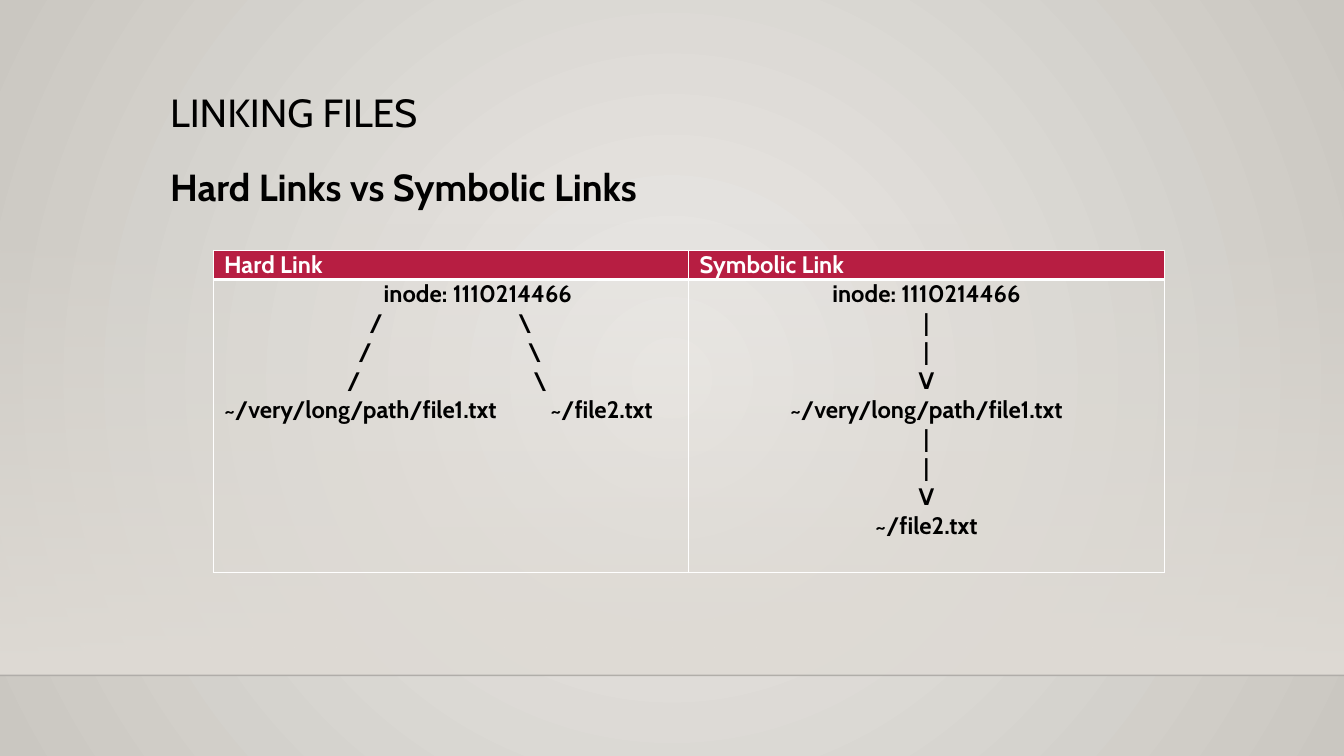
from lxml.etree import SubElement as Sub
from pptx import Presentation
from pptx.dml.color import RGBColor as Rgb
from pptx.enum.shapes import MSO_CONNECTOR as Link, MSO_SHAPE as Kind
from pptx.enum.text import PP_ALIGN as Align
from pptx.oxml.ns import qn
from pptx.util import Pt

WIDE, HIGH, FLOOR = 960, 540, 482.4
FONT, RED, WHITE, BLACK = "Cabin", "B71E42", "FFFFFF", "000000"
TITLES = [
    ("LINKING FILES", 28, False, 0.9, 0, (114.5, 63.4, 756, 82.8)),
    ("Hard Links vs Symbolic Links", 26.9, True, 1.2, 10, (114.5, 107.3, 549.4, 58.3)),
]
HEADS = ["Hard Link", "Symbolic Link"]
HARD = [
    [(114, "inode: 1110214466")],
    [(104, "/"), (210, "\\")],
    [(96, "/"), (217, "\\")],
    [(88, "/"), (221, "\\")],
    [(0, "~/very/long/path/file1.txt"), (233, "~/file2.txt")],
]
SOFT = ["inode: 1110214466", "|", "|", "V", "~/very/long/path/file1.txt",
        "|", "|", "V", "~/file2.txt"]
GRID = (152.4, 178.8, 679.2, 230.4)
ROWS = (20.9, 209.5)


def tint(color, code):
    color.rgb = Rgb.from_string(code)


def write(par, text, size=17, bold=True, code=BLACK):
    run = par.add_run()
    run.text = text
    run.font.name, run.font.size, run.font.bold = FONT, Pt(size), bold
    tint(run.font.color, code)


def blend(fill, codes):
    fill.gradient()
    for stop, code in zip(fill.gradient_stops, codes):
        tint(stop.color, code)


def fade(root, share):
    Sub(next(root.iter(qn("a:srgbClr"))), qn("a:alpha"), val=str(share * 1000))


def tabs(par, stops):
    tray = Sub(par._p.get_or_add_pPr(), qn("a:tabLst"))
    for stop in stops:
        Sub(tray, qn("a:tab"), pos=str(Pt(stop)), algn="l")


def edge(cell, side, width):
    line = Sub(cell._tc.get_or_add_tcPr(), qn("a:ln" + side), w=str(Pt(width)))
    Sub(Sub(line, qn("a:solidFill")), qn("a:srgbClr"), val=WHITE)


def lines(frame, count):
    return [frame.paragraphs[0]] + [frame.add_paragraph() for _ in range(count - 1)]


def backdrop(slide):
    fill = slide.background.fill
    blend(fill, ("ECEAE7", "CAC7C1"))
    grad = next(slide.element.iter(qn("a:gradFill")))
    grad.remove(grad.find(qn("a:lin")))
    ring = Sub(grad, qn("a:path"), path="circle")
    Sub(ring, qn("a:fillToRect"), l="50000", t="50000", r="50000", b="50000")

    wall = slide.shapes.add_shape(Kind.RECTANGLE, 0, Pt(159.1), Pt(WIDE), Pt(FLOOR - 159.1))
    wall.shadow.inherit = False
    wall.line.fill.background()
    blend(wall.fill, ("DFDBD5", "DFDBD5"))
    wall.fill.gradient_angle = 270
    fade(wall.element.spPr, 0)

    rule = slide.shapes.add_connector(Link.STRAIGHT, 0, Pt(FLOOR), Pt(WIDE), Pt(FLOOR))
    rule.line.width = Pt(1)
    tint(rule.line.color, "000001")
    fade(rule.element.spPr, 20)
    Sub(rule.element.spPr, qn("a:effectLst"))


def headings(slide):
    for text, size, bold, pitch, gap, box in TITLES:
        frame = slide.shapes.add_textbox(*map(Pt, box)).text_frame
        frame.word_wrap = True
        par = frame.paragraphs[0]
        par.line_spacing, par.space_before = pitch, Pt(gap)
        write(par, text, size, bold)


def links(slide):
    table = slide.shapes.add_table(2, 2, *map(Pt, GRID)).table
    table.first_row = table.horz_banding = False
    for row, high in zip(table.rows, ROWS):
        row.height = Pt(high)
    for cell in table.iter_cells():
        cell.margin_left = cell.margin_right = Pt(7.7)
        cell.margin_top = cell.margin_bottom = 0
    for col, head in enumerate(HEADS):
        top, body = table.cell(0, col), table.cell(1, col)
        for side in "LRTB":
            edge(top, side, 3 if side == "B" else 1)
            edge(body, side, 3 if side == "T" else 1)
        top.fill.solid()
        tint(top.fill.fore_color, RED)
        body.fill.background()
        write(top.text_frame.paragraphs[0], head, code=WHITE)

    for par, parts in zip(lines(table.cell(1, 0).text_frame, len(HARD)), HARD):
        tabs(par, [stop for stop, _ in parts if stop])
        for stop, text in parts:
            write(par, "\t" + text if stop else text)
    for par, text in zip(lines(table.cell(1, 1).text_frame, len(SOFT)), SOFT):
        par.alignment = Align.CENTER
        write(par, text)


def main():
    """Build the slide that compares hard and symbolic links."""
    deck = Presentation()
    deck.slide_width, deck.slide_height = Pt(WIDE), Pt(HIGH)
    slide = deck.slides.add_slide(deck.slide_layouts[6])
    backdrop(slide)
    headings(slide)
    links(slide)
    deck.save("out.pptx")


if __name__ == "__main__":
    main()
